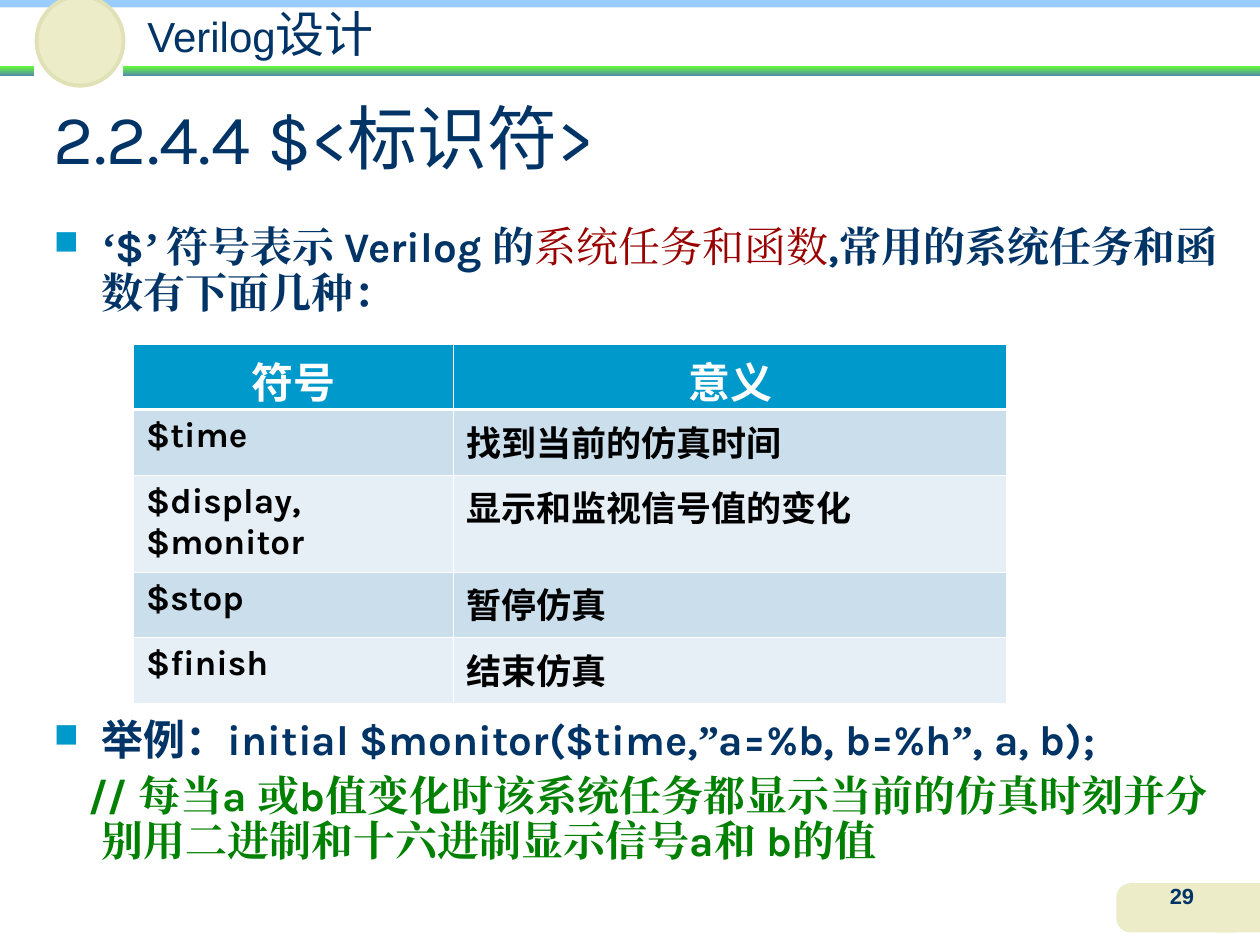
from lxml import etree
from pptx import Presentation
from pptx.dml.color import RGBColor
from pptx.enum.lang import MSO_LANGUAGE_ID
from pptx.enum.shapes import MSO_SHAPE
from pptx.enum.text import MSO_ANCHOR, PP_ALIGN
from pptx.oxml.ns import qn
from pptx.util import Inches, Pt

RECT = MSO_SHAPE.RECTANGLE
ROUNDED = MSO_SHAPE.ROUNDED_RECTANGLE
OVAL = MSO_SHAPE.OVAL
LEFT, CENTER = PP_ALIGN.LEFT, PP_ALIGN.CENTER
TOP, MIDDLE = MSO_ANCHOR.TOP, MSO_ANCHOR.MIDDLE
CHINESE = MSO_LANGUAGE_ID.SIMPLIFIED_CHINESE

NAVY, RED, GREEN = "003366", "990000", "008000"
BLUE, SKY, CREAM, WHITE, BLACK = "0099CC", "99CCFF", "ECECC8", "FFFFFF", "000000"
BODY_FONT, QUOTE_FONT = "Karla", "Times New Roman"
HANGING = 0.38


def rgb(value):
    return RGBColor.from_string(value)


def set_font(font, size, color, name=BODY_FONT, bold=False):
    font.size, font.name, font.bold = Pt(size), name, bold
    font.color.rgb = rgb(color)


def add_block(slide, kind, box, color):
    block = slide.shapes.add_shape(kind, *map(Inches, box))
    block.shadow.inherit = False
    block.fill.solid()
    block.fill.fore_color.rgb = rgb(color)
    block.line.fill.background()
    return block


def add_green_band(slide, box):
    band = add_block(slide, RECT, box, WHITE)
    band.fill.gradient()
    band.fill.gradient_angle = 270
    for stop, (position, color) in zip(band.fill.gradient_stops, [(0, "66FF33"), (1, "5490A8")]):
        stop.position = position
        stop.color.rgb = rgb(color)


def add_frame(slide, box, anchor=TOP):
    frame = slide.shapes.add_textbox(*map(Inches, box)).text_frame
    frame.word_wrap = True
    frame.vertical_anchor = anchor
    return frame


def add_header(slide, box):
    left, top, width, height = box
    add_block(slide, RECT, (left, top, width, 0.08), SKY)
    for start, end in [(0, 0.27), (0.98, width)]:
        add_green_band(slide, (left + start, top + height - 0.08, end - start, 0.08))
    medallion = add_block(slide, OVAL, (left + 0.29, top - 0.01, 0.69, 0.71), CREAM)
    medallion.line.color.rgb = rgb("E1E1B7")
    medallion.line.width = Pt(2.25)
    frame = add_frame(slide, (left + 1.15, top + 0.05, 3.93, 0.42))
    frame.margin_left = frame.margin_right = Inches(0.02)
    frame.margin_top = frame.margin_bottom = 0
    course = frame.paragraphs[0]
    for words, size in [("Verilog", 24), ("设计", 28)]:
        run = course.add_run()
        run.text = words
        set_font(run.font, size, NAVY, "Arial")


def add_page_number(slide, box):
    left, top, width, height = box
    add_block(slide, RECT, (left + width - 0.35, top, 0.35, height), CREAM)
    tab = add_block(slide, ROUNDED, (left, top, width - 0.09, height), CREAM)
    tab.adjustments[0] = 0.29
    number = add_frame(slide, (left + 0.06, top - 0.01, 0.92, 0.33)).paragraphs[0]
    number.text = "29"
    number.alignment = CENTER
    number.line_spacing = 0.8
    set_font(number.font, 12.5, NAVY, "Arial", True)


def add_title(slide, box):
    title = add_frame(slide, box, MIDDLE).paragraphs[0]
    title.text = "2.2.4.4 $<标识符>"
    set_font(title.font, 40, NAVY)


def add_bullet(properties):
    color = etree.SubElement(properties, qn("a:buClr"))
    etree.SubElement(color, qn("a:srgbClr"), val=BLUE)
    etree.SubElement(properties, qn("a:buSzPct"), val="80000")
    etree.SubElement(properties, qn("a:buChar"), char="■")


def add_points(slide, box, points):
    frame = add_frame(slide, box)
    for index, (bulleted, indent, runs) in enumerate(points):
        point = frame.add_paragraph() if index else frame.paragraphs[0]
        point.line_spacing = 0.9
        if index:
            point.space_before = Pt(6)
        properties = point._p.get_or_add_pPr()
        properties.set("marL", str(Inches(HANGING)))
        properties.set("indent", str(Inches(indent)))
        if bulleted:
            add_bullet(properties)
        for words, color, name, bold in runs:
            run = point.add_run()
            run.text = words
            set_font(run.font, 24, color, name, bold)
            if name == QUOTE_FONT:
                run.font.language_id = CHINESE
                etree.SubElement(run.font._element, qn("a:ea"), typeface=name)


def add_cell_borders(cell, weights):
    properties = cell._tc.get_or_add_tcPr()
    for side, weight in zip("LRTB", weights):
        border = etree.SubElement(properties, qn(f"a:ln{side}"), w=str(Pt(weight)))
        fill = etree.SubElement(border, qn("a:solidFill"))
        etree.SubElement(fill, qn("a:srgbClr"), val=WHITE)


def add_task_table(slide, box, rows):
    table = slide.shapes.add_table(len(rows), 2, *map(Inches, box)).table
    for column, width in zip(table.columns, [2.54, 4.39]):
        column.width = Inches(width)
    for row, height in zip(table.rows, [0.52, 0.52, 0.77, 0.52, 0.52]):
        row.height = Inches(height)
    for r, row in enumerate(rows):
        heading = r == 0
        weights = (0.45, 0.45, 1.47 if r == 1 else 0.45, 1.47 if heading else 0.45)
        for c, words in enumerate(row):
            cell = table.cell(r, c)
            add_cell_borders(cell, weights)
            cell.fill.solid()
            cell.fill.fore_color.rgb = rgb(BLUE if heading else "CBDEEC" if r % 2 else "E7EFF6")
            cell.text = words
            entry = cell.text_frame.paragraphs[0]
            entry.alignment = CENTER if heading else LEFT
            set_font(entry.font, 24 if heading else 20, WHITE if heading else BLACK, bold=True)


def main():
    deck = Presentation()
    deck.slide_width, deck.slide_height = Inches(10), Inches(7.5)
    slide = deck.slides.add_slide(deck.slide_layouts[6])
    add_header(slide, (0, -0.02, 10, 0.62))
    add_page_number(slide, (8.86, 7.01, 1.14, 0.39))
    add_title(slide, (0.33, 0.58, 9.45, 1))
    add_points(slide, (0.33, 1.75, 9.45, 0.9), [
        (True, -HANGING, [
            ("‘", NAVY, QUOTE_FONT, True),
            ("$", NAVY, BODY_FONT, True),
            ("’ ", NAVY, QUOTE_FONT, True),
            ("符号表示 Verilog 的", NAVY, BODY_FONT, True),
            ("系统任务和函数", RED, BODY_FONT, False),
            (",常用的系统任务和函数有下面几种：", NAVY, BODY_FONT, True),
        ]),
    ])
    add_points(slide, (0.33, 5.66, 9.45, 1.4), [
        (True, -HANGING, [
            ("举例：initial $monitor($time,", NAVY, BODY_FONT, True),
            ("”", NAVY, QUOTE_FONT, True),
            ("a=%b, b=%h", NAVY, BODY_FONT, True),
            ("”", NAVY, QUOTE_FONT, True),
            (", a, b);", NAVY, BODY_FONT, True),
        ]),
        (False, -0.11, [
            ("// 每当a 或b值变化时该系统任务都显示当前的仿真时刻并"
             "分别用二进制和十六进制显示信号a和 b的值", GREEN, BODY_FONT, True),
        ]),
    ])
    add_task_table(slide, (1.06, 2.73, 6.93, 2.85), [
        ("符号", "意义"),
        ("$time", "找到当前的仿真时间"),
        ("$display, $monitor", "显示和监视信号值的变化"),
        ("$stop", "暂停仿真"),
        ("$finish", "结束仿真"),
    ])
    deck.save("out.pptx")


if __name__ == "__main__":
    main()
